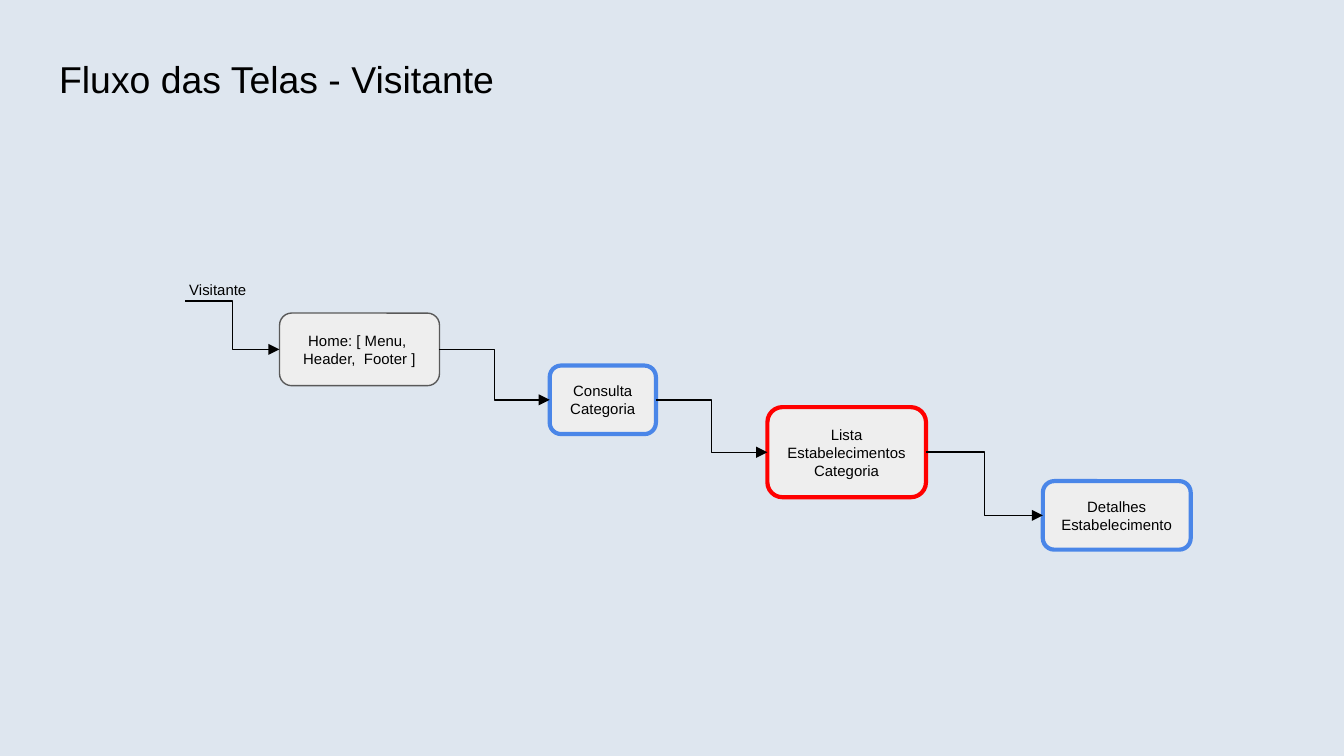
import pptx
import pptx.dml.color
import pptx.enum.shapes
import pptx.enum.text
import pptx.oxml
import pptx.oxml.ns
import pptx.util

WIDTH = 10
HEIGHT = WIDTH * 9 / 16
BACKGROUND = pptx.dml.color.RGBColor(0xDE, 0xE6, 0xEF)
PANEL = pptx.dml.color.RGBColor(0xEE, 0xEE, 0xEE)
GREY = pptx.dml.color.RGBColor(0x59, 0x59, 0x59)
BLUE = pptx.dml.color.RGBColor(0x4A, 0x86, 0xE8)
RED = pptx.dml.color.RGBColor(0xFF, 0x00, 0x00)
BLACK = pptx.dml.color.RGBColor(0x00, 0x00, 0x00)
LEFT_SITE, RIGHT_SITE = 1, 3
SCREENS = [
    ("Home: [ Menu,  Header,  Footer ]", (2.08, 2.33, 1.19, 0.54), GREY, 0.75),
    ("Consulta Categoria", (4.09, 2.72, 0.79, 0.51), BLUE, 2.25),
    ("Lista Estabelecimentos Categoria", (5.71, 3.03, 1.18, 0.67), RED, 2.25),
    ("Detalhes Estabelecimento", (7.76, 3.58, 1.1, 0.51), BLUE, 2.25),
]


def inches(values):
    """Convert a sequence of inch values to lengths."""
    return [pptx.util.Inches(value) for value in values]


def write_text(shape, text, size=8, align=pptx.enum.text.PP_ALIGN.LEFT,
               anchor=pptx.enum.text.MSO_ANCHOR.TOP, inset=0.1):
    """Fill a shape with one formatted paragraph."""
    frame = shape.text_frame
    frame.word_wrap = True
    frame.auto_size = pptx.enum.text.MSO_AUTO_SIZE.NONE
    frame.vertical_anchor = anchor
    frame.margin_left = frame.margin_right = pptx.util.Inches(0.1)
    frame.margin_top = frame.margin_bottom = pptx.util.Inches(inset)
    para = frame.paragraphs[0]
    para.alignment = align
    span = para.add_run()
    span.text = text
    span.font.name = "Arial"
    span.font.size = pptx.util.Pt(size)
    span.font.color.rgb = BLACK


def add_title(page, box, text):
    """Place the page title in its placeholder."""
    title = page.shapes.title
    title.left, title.top, title.width, title.height = inches(box)
    write_text(title, text, size=20)


def add_screen(page, box, text, outline, weight):
    """Draw one screen of the flow as a rounded box."""
    screen = page.shapes.add_shape(
        pptx.enum.shapes.MSO_SHAPE.ROUNDED_RECTANGLE, *inches(box))
    screen.shadow.inherit = False
    screen.fill.solid()
    screen.fill.fore_color.rgb = PANEL
    screen.line.color.rgb = outline
    screen.line.width = pptx.util.Pt(weight)
    write_text(screen, text, align=pptx.enum.text.PP_ALIGN.CENTER,
               anchor=pptx.enum.text.MSO_ANCHOR.MIDDLE)
    return screen


def add_arrow(page, target, source=None, start=(0, 0)):
    """Lead an elbow arrow from a source screen or a start point to a target."""
    arrow = page.shapes.add_connector(
        pptx.enum.shapes.MSO_CONNECTOR.ELBOW, *inches(start),
        target.left, target.top + target.height // 2)
    if source is not None:
        arrow.begin_connect(source, RIGHT_SITE)
    arrow.end_connect(target, LEFT_SITE)
    arrow.line.color.rgb = BLACK
    arrow.line.width = pptx.util.Pt(0.75)
    head = pptx.oxml.parse_xml(
        f'<a:tailEnd {pptx.oxml.ns.nsdecls("a")} type="triangle"/>')
    arrow.line._get_or_add_ln().append(head)
    arrow._element.spPr.append(
        pptx.oxml.parse_xml(f'<a:effectLst {pptx.oxml.ns.nsdecls("a")}/>'))


def add_flow(page, entry_box, entry_start):
    """Draw the visitor entry and the chain of screens it leads through."""
    screens = [add_screen(page, box, text, outline, weight)
               for text, box, outline, weight in SCREENS]
    entry = page.shapes.add_textbox(*inches(entry_box))
    write_text(entry, "Visitante", inset=0.05)
    add_arrow(page, screens[0], start=entry_start)
    for source, target in zip(screens, screens[1:]):
        add_arrow(page, target, source=source)


def main():
    """Build the deck and save it."""
    deck = pptx.Presentation()
    deck.slide_width, deck.slide_height = inches((WIDTH, HEIGHT))
    page = deck.slides.add_slide(deck.slide_layouts.get_by_name("Title Only"))
    page.background.fill.solid()
    page.background.fill.fore_color.rgb = BACKGROUND
    margin = 0.034 * WIDTH
    add_title(page, (margin, 0.32, WIDTH - 2 * margin, 0.63),
              "Fluxo das Telas - Visitante")
    add_flow(page, (1.31, 2.04, 0.66, 0.28), (1.38, 2.24))
    deck.save("out.pptx")


if __name__ == "__main__":
    main()
